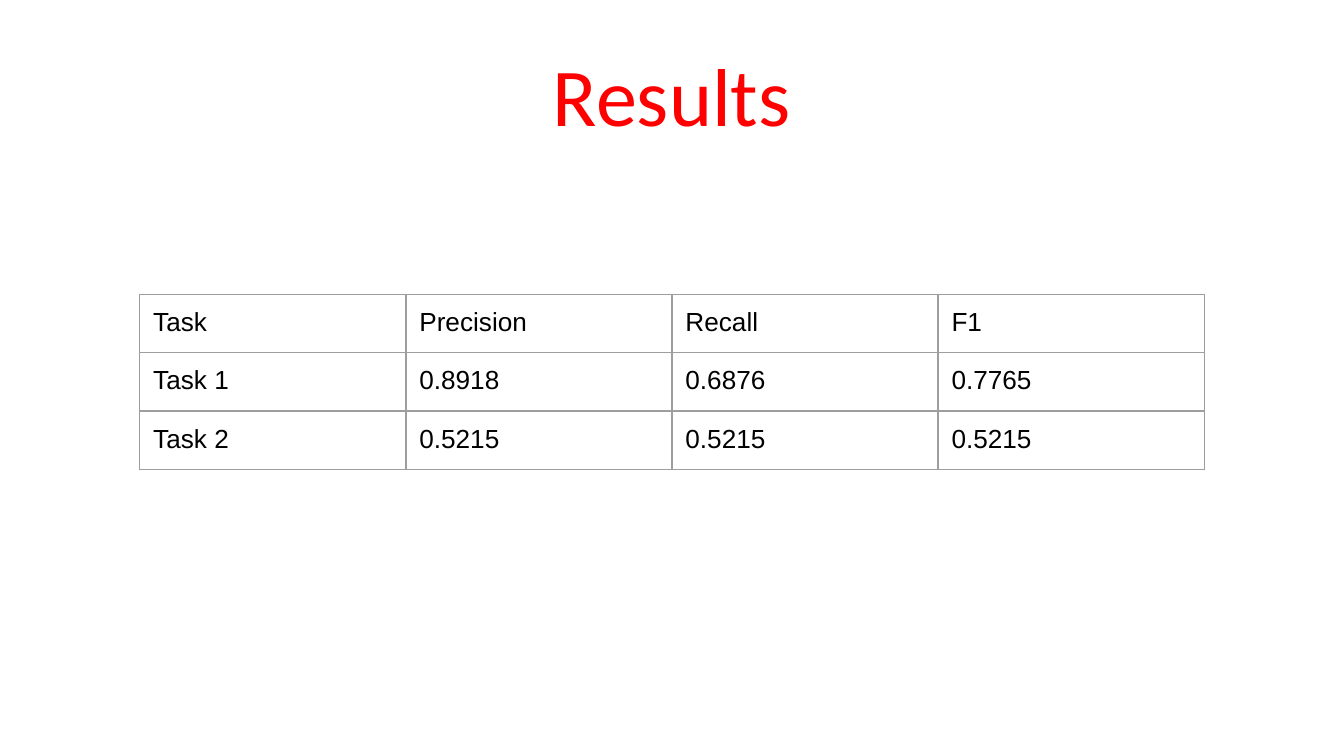
from typing import NamedTuple

from lxml.etree import SubElement
from pptx import Presentation
from pptx.dml.color import RGBColor
from pptx.enum.text import MSO_ANCHOR, PP_ALIGN
from pptx.oxml.ns import qn
from pptx.util import Inches, Pt

RED = RGBColor(0xFF, 0x00, 0x00)
BLACK = RGBColor(0x00, 0x00, 0x00)
GREY = RGBColor(0x9E, 0x9E, 0x9E)

# 16:9 slide
SLIDE_W = Inches(10)
SLIDE_H = SLIDE_W * 9 // 16
COL_W, ROW_H = Inches(1.98), Pt(30)
FRAME_SIDE = Inches(3.28)
CELL_PAD = Inches(0.1)


class Score(NamedTuple):
    task: str
    precision: str
    recall: str
    f1: str


SCORES = [
    Score("Task", "Precision", "Recall", "F1"),
    Score("Task 1", "0.8918", "0.6876", "0.7765"),
    Score("Task 2", "0.5215", "0.5215", "0.5215"),
]


def style_run(r, font: str, size: float, color: RGBColor) -> None:
    r.font.name = font
    r.font.size = Pt(size)
    r.font.color.rgb = color


def add_title(s, text: str) -> None:
    sp = s.shapes.add_textbox(int(SLIDE_W * 0.05), Inches(0.23),
                              int(SLIDE_W * 0.9), Inches(0.94))
    tf = sp.text_frame
    tf.word_wrap = True
    tf.vertical_anchor = MSO_ANCHOR.MIDDLE
    tf.text = text
    p = tf.paragraphs[0]
    p.alignment = PP_ALIGN.CENTER
    style_run(p.runs[0], "Calibri", 44, RED)


def set_borders(cell, color: RGBColor, width: float) -> None:
    """Draw all four sides; border lines must precede the fill in tcPr."""
    tc_pr = cell._tc.get_or_add_tcPr()
    for side in ("a:lnL", "a:lnR", "a:lnT", "a:lnB"):
        ln = SubElement(tc_pr, qn(side), w=str(Pt(width)))
        fill = SubElement(ln, qn("a:solidFill"))
        SubElement(fill, qn("a:srgbClr"), val=str(color))


def fill_cell(cell, text: str) -> None:
    cell.margin_left = cell.margin_right = CELL_PAD
    cell.margin_top = cell.margin_bottom = CELL_PAD
    cell.text = text
    p = cell.text_frame.paragraphs[0]
    p.line_spacing = 1.0
    style_run(p.runs[0], "Arial", 14, BLACK)
    set_borders(cell, GREY, 0.75)
    cell.fill.background()


def add_scores(s, scores: list[Score]) -> None:
    n_rows, n_cols = len(scores), len(Score._fields)
    width = COL_W * n_cols
    # Centred across the slide
    frame = s.shapes.add_table(n_rows, n_cols, (SLIDE_W - width) // 2,
                               Inches(2.19), width, ROW_H * n_rows)
    table = frame.table
    table.first_row = table.horz_banding = False
    for col in table.columns:
        col.width = COL_W
    for i, score in enumerate(scores):
        table.rows[i].height = ROW_H
        for j, text in enumerate(score):
            fill_cell(table.cell(i, j), text)
    # The columns and rows set the drawn size, the frame stays square
    frame.width = frame.height = FRAME_SIDE


def main() -> None:
    prs = Presentation()
    prs.slide_width, prs.slide_height = SLIDE_W, SLIDE_H
    s = prs.slides.add_slide(prs.slide_layouts[6])
    add_title(s, "Results")
    add_scores(s, SCORES)
    prs.save("out.pptx")


if __name__ == "__main__":
    main()
